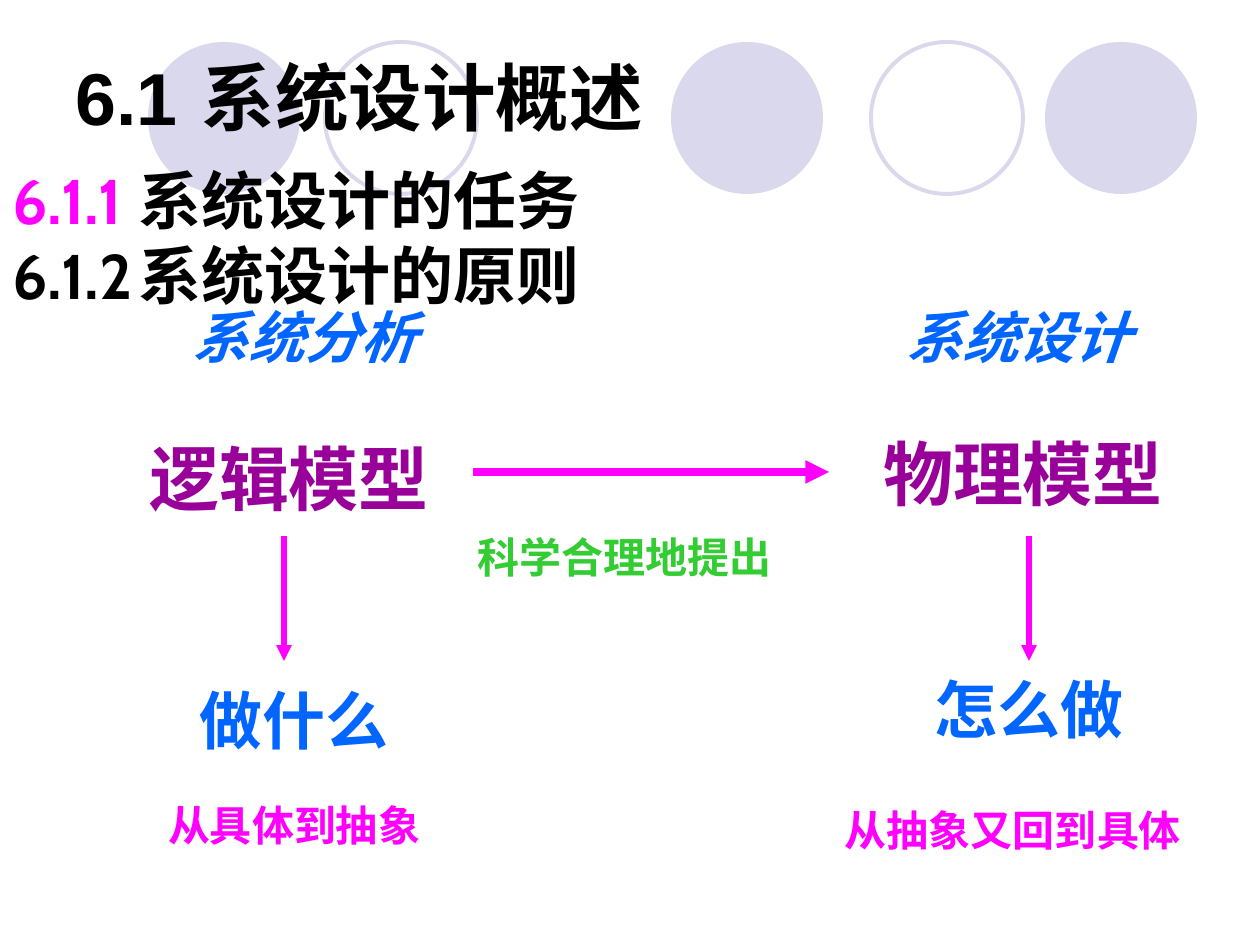
import pptx
import pptx.dml.color
import pptx.enum.shapes
import pptx.enum.text
import pptx.oxml
import pptx.oxml.ns
import pptx.util

RGBColor = pptx.dml.color.RGBColor
BLACK = RGBColor(0x00, 0x00, 0x00)
LAVENDER = RGBColor(0xD9, 0xD8, 0xEC)
PURPLE = RGBColor(0x99, 0x00, 0x99)
BLUE = RGBColor(0x00, 0x66, 0xFF)
GREEN = RGBColor(0x33, 0xCC, 0x33)
MAGENTA = RGBColor(0xFF, 0x00, 0xFF)

EMU_PER_PX = 914400 / 126
CIRCLE_SIZE = 152
CIRCLES = [(148, True), (325, False), (671, True), (871, False), (1045, True)]

# left, top, width, height, text, size, colour, italic
LABELS = [
    (105, 441, 368, 73, "逻辑模型", 40, PURPLE, False),
    (829, 420, 388, 104, "物理模型", 40, PURPLE, False),
    (126, 651, 336, 136, "做什么", 36, BLUE, False),
    (861, 640, 336, 136, "怎么做", 36, BLUE, False),
    (462, 504, 325, 105, "科学合理地提出", 24, GREEN, False),
    (84, 777, 420, 95, "从具体到抽象", 24, MAGENTA, False),
    (766, 777, 494, 105, "从抽象又回到具体", 24, MAGENTA, False),
    (126, 284, 357, 105, "系统分析", 32, BLUE, True),
    (840, 284, 357, 105, "系统设计", 32, BLUE, True),
]


def px(length):
    return pptx.util.Emu(round(length * EMU_PER_PX))


def add_xml(parent, tag, **attributes):
    element = pptx.oxml.parse_xml(f"<a:{tag} {pptx.oxml.ns.nsdecls('a')}/>")
    for name, value in attributes.items():
        element.set(name, str(value))
    parent.append(element)
    return element


def format_run(run, size, color, font_name="Arial", italic=False):
    run.font.size = pptx.util.Pt(size)
    run.font.bold = True
    run.font.italic = italic or None
    run.font.color.rgb = color
    run.font.name = font_name
    add_xml(run.font._element, "ea", typeface=font_name)


def set_tab(paragraph, position):
    """Remove the bullet and set one left tab stop."""
    properties = paragraph._p.get_or_add_pPr()
    properties.set("marL", "0")
    properties.set("indent", "0")
    add_xml(properties, "buNone")
    tabs = add_xml(properties, "tabLst")
    add_xml(tabs, "tab", pos=px(position), algn="l")


def place(shape, left, top, width, height):
    shape.left, shape.top = px(left), px(top)
    shape.width, shape.height = px(width), px(height)


def add_circle(slide, left, filled):
    circle = slide.shapes.add_shape(
        pptx.enum.shapes.MSO_SHAPE.OVAL,
        px(left), px(42), px(CIRCLE_SIZE), px(CIRCLE_SIZE))
    circle.shadow.inherit = False
    if filled:
        circle.fill.solid()
        circle.fill.fore_color.rgb = LAVENDER
        circle.line.fill.background()
    else:
        circle.fill.background()
        circle.line.color.rgb = LAVENDER
        circle.line.width = pptx.util.Pt(2.25)


def fill_placeholder(shape, lines, tab_positions, size, colors, font_name):
    """Write left-aligned numbered headings, one colour per number."""
    frame = shape.text_frame
    frame.text = "\n".join(lines)
    frame.auto_size = pptx.enum.text.MSO_AUTO_SIZE.NONE
    for paragraph, position, color in zip(frame.paragraphs, tab_positions, colors):
        set_tab(paragraph, position)
        paragraph.alignment = pptx.enum.text.PP_ALIGN.LEFT
        paragraph.space_before = pptx.util.Pt(0)
        number, heading = paragraph.text.split("\t")
        paragraph.text = number
        paragraph.add_run().text = "\t" + heading
        for run, run_color in zip(paragraph.runs, (color, BLACK)):
            format_run(run, size, run_color, font_name)


def add_label(slide, left, top, width, height, text, size, color, italic):
    label = slide.shapes.add_textbox(px(left), px(top), px(width), px(height))
    frame = label.text_frame
    frame.text = text
    frame.word_wrap = False
    frame.vertical_anchor = pptx.enum.text.MSO_ANCHOR.MIDDLE
    paragraph = frame.paragraphs[0]
    paragraph.alignment = pptx.enum.text.PP_ALIGN.CENTER
    format_run(paragraph.runs[0], size, color, italic=italic)
    return label


def add_arrow(slide, start, end, width):
    arrow = slide.shapes.add_connector(
        pptx.enum.shapes.MSO_CONNECTOR.STRAIGHT, *map(px, start + end))
    arrow.line.color.rgb = MAGENTA
    arrow.line.width = pptx.util.Pt(width)
    add_xml(arrow.line._get_or_add_ln(), "tailEnd", type="triangle")
    add_xml(arrow._element.spPr, "effectLst")
    return arrow


def main():
    presentation = pptx.Presentation()
    presentation.slide_width, presentation.slide_height = px(1260), px(945)
    slide = presentation.slides.add_slide(presentation.slide_layouts[1])
    title, body = slide.placeholders

    for left, filled in CIRCLES:
        add_circle(slide, left, filled)
    # Bring the headings in front of the circles.
    for placeholder in (title, body):
        slide.shapes._spTree.append(placeholder._element)

    place(title, 63, 38, 1134, 116)
    fill_placeholder(title, ["6.1\t系统设计概述"], [162], 42, [BLACK], "Arial")
    title.text_frame.vertical_anchor = pptx.enum.text.MSO_ANCHOR.MIDDLE
    place(body, 0, 155, 1032, 164)
    fill_placeholder(body, ["6.1.1\t系统设计的任务", "6.1.2\t系统设计的原则"],
                     [152, 163], 36, [MAGENTA, BLACK], "Cabin")

    labels = {label[4]: add_label(slide, *label) for label in LABELS}
    proposal_arrow = add_arrow(slide, (473, 472), (829, 472), 4.5)
    proposal_arrow.end_connect(labels["物理模型"], 1)
    for x in (284, 1029):
        add_arrow(slide, (x, 536), (x, 661), 3)

    presentation.save("out.pptx")


if __name__ == "__main__":
    main()
